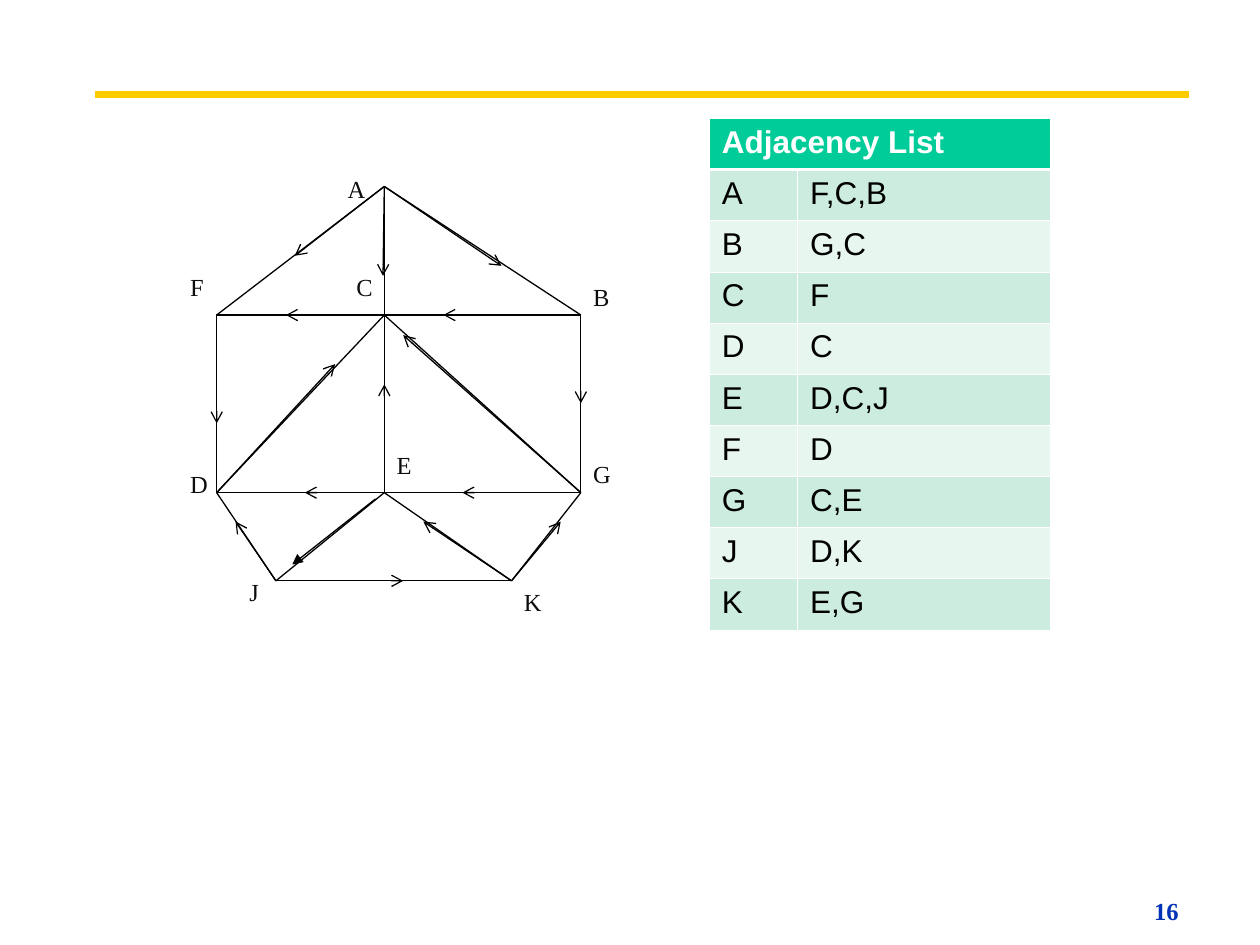
"""Build a slide showing a directed graph beside its adjacency list."""
from lxml import etree
from pptx import Presentation
from pptx import util as u
from pptx.dml.color import RGBColor
from pptx.enum import shapes, text
from pptx.oxml.ns import qn

THEME = {
    "rule": "FFCC00", "line": "000000", "label": "0D0D0D", "page": "0332B7",
    "header": "00CC99", "bands": ("CBECDE", "E7F6EF"), "white": "FFFFFF",
    "serif": "Times New Roman", "sans": "Arial", "small": 14, "cell": 18,
    "thin": 0.75, "thick": 4.5, "border": 0.45, "header_border": 1.47,
}

NODES = {
    "A": (3.05, 1.48), "F": (1.72, 2.5), "B": (4.61, 2.5), "G": (4.61, 3.91),
    "D": (1.72, 3.91), "J": (2.19, 4.61), "K": (4.06, 4.61), "E": (3.05, 3.91),
    "C": (3.05, 2.5),
}
LABELS = {
    "A": (2.66, 1.33), "F": (1.41, 2.11), "B": (4.61, 2.19), "G": (4.61, 3.59),
    "D": (1.41, 3.67), "J": (1.88, 4.53), "K": (4.06, 4.61), "E": (3.05, 3.52),
    "C": (2.73, 2.11),
}
EDGES = ["FA", "AB", "DJ", "GK", "JK", "AE", "JE", "EK", "DC", "CG"]
ARROWS = [
    (NODES["A"], (2.34, 2.03)), (NODES["A"], (3.98, 2.11)), (NODES["A"], (3.04, 2.19)),
    ((3.16, 2.5), (2.27, 2.5)), (NODES["B"], (3.52, 2.5)), (NODES["E"], (3.05, 3.05)),
    (NODES["G"], (3.2, 2.66)), (NODES["D"], (2.66, 2.89)), (NODES["K"], (3.36, 4.14)),
    ((4.53, 3.91), (3.67, 3.91)), ((3.16, 3.91), (2.42, 3.91)), (NODES["F"], (1.72, 3.36)),
    (NODES["B"], (4.61, 3.2)), (NODES["J"], (1.87, 4.14)), (NODES["K"], (4.45, 4.14)),
    ((2.42, 4.61), (3.2, 4.61)),
]
EJ_ARROW = ((2.98, 3.96), (2.32, 4.48))
TABLE_TITLE = "Adjacency List"
ADJACENCY = [
    ("A", "F,C,B"), ("B", "G,C"), ("C", "F"), ("D", "C"), ("E", "D,C,J"),
    ("F", "D"), ("G", "C,E"), ("J", "D,K"), ("K", "E,G"),
]
TABLE_BOX = (5.63, 0.94, 2.71, 4.06)
COLUMNS = (0.7, 2.01)


def rgb(name):
    return RGBColor.from_string(THEME.get(name, name))


def inches(*values):
    return [u.Inches(v) for v in values]


def style(tf, font, size, color, bold=False):
    for r in tf.paragraphs[0].runs:
        r.font.name, r.font.size, r.font.bold = THEME[font], u.Pt(THEME[size]), bold
        r.font.color.rgb = rgb(color)


def add_line(s, start, end, color="line", width="thin", head=None):
    c = s.shapes.add_connector(shapes.MSO_CONNECTOR.STRAIGHT, *inches(*start, *end))
    c.line.color.rgb, c.line.width = rgb(color), u.Pt(THEME[width])
    if head:
        etree.SubElement(c.line._get_or_add_ln(), qn("a:tailEnd"), type=head)
    etree.SubElement(c._element.spPr, qn("a:effectLst"))


def add_text(s, box, words, margins, color, wrap=True, bold=False):
    tf = s.shapes.add_textbox(*inches(*box)).text_frame
    tf.margin_left = tf.margin_right = u.Inches(margins[0])
    tf.margin_top = tf.margin_bottom = u.Inches(margins[1])
    tf.word_wrap = wrap
    tf.auto_size = text.MSO_AUTO_SIZE.SHAPE_TO_FIT_TEXT
    tf.text = words
    style(tf, "serif", "small", color, bold)


def set_borders(cell, top, bottom):
    for side, width in zip("LRTB", ("border", "border", top, bottom)):
        ln = etree.SubElement(cell._tc.get_or_add_tcPr(), qn(f"a:ln{side}"),
                              w=str(u.Pt(THEME[width])))
        fill = etree.SubElement(ln, qn("a:solidFill"))
        etree.SubElement(fill, qn("a:srgbClr"), val=THEME["white"])


def add_graph(s):
    left, top = NODES["F"]
    right, bottom = NODES["G"]
    sp = s.shapes.add_shape(shapes.MSO_SHAPE.RECTANGLE,
                            *inches(left, top, right - left, bottom - top))
    sp.shadow.inherit = False
    sp.fill.background()
    sp.line.color.rgb, sp.line.width = rgb("line"), u.Pt(THEME["thin"])
    for start, end in EDGES:
        add_line(s, NODES[start], NODES[end])
    for start, end in ARROWS:
        add_line(s, start, end, head="arrow")
    for name, corner in LABELS.items():
        add_text(s, (*corner, 0.31, 0.34), name, (0.1, 0.05), "label")


def add_adjacency(s):
    rows = [(TABLE_TITLE, ""), *ADJACENCY]
    table = s.shapes.add_table(len(rows), len(COLUMNS), *inches(*TABLE_BOX)).table
    for column, width in zip(table.columns, COLUMNS):
        column.width = u.Inches(width)
    for i, row in enumerate(rows):
        table.rows[i].height = u.Inches(TABLE_BOX[3] / len(rows))
        fill = THEME["bands"][(i - 1) % 2] if i else "header"
        for j, words in enumerate(row):
            cell = table.cell(i, j)
            set_borders(cell, "header_border" if i == 1 else "border",
                        "border" if i else "header_border")
            cell.fill.solid()
            cell.fill.fore_color.rgb = rgb(fill)
            cell.text = words
            style(cell.text_frame, "sans", "cell", "line" if i else "white", not i)
    table.cell(0, 0).merge(table.cell(0, 1))


def main():
    prs = Presentation()
    prs.slide_width, prs.slide_height = inches(10, 7.5)
    s = prs.slides.add_slide(prs.slide_layouts[6])
    add_text(s, (9.09, 7.08, 1.02, 0.29), "16", (0.07, 0.03), "page", wrap=False, bold=True)
    add_line(s, (0.75, 0.75), (9.44, 0.75), "rule", "thick")
    add_graph(s)
    add_adjacency(s)
    add_line(s, *EJ_ARROW, head="triangle")
    prs.save("out.pptx")


if __name__ == "__main__":
    main()
